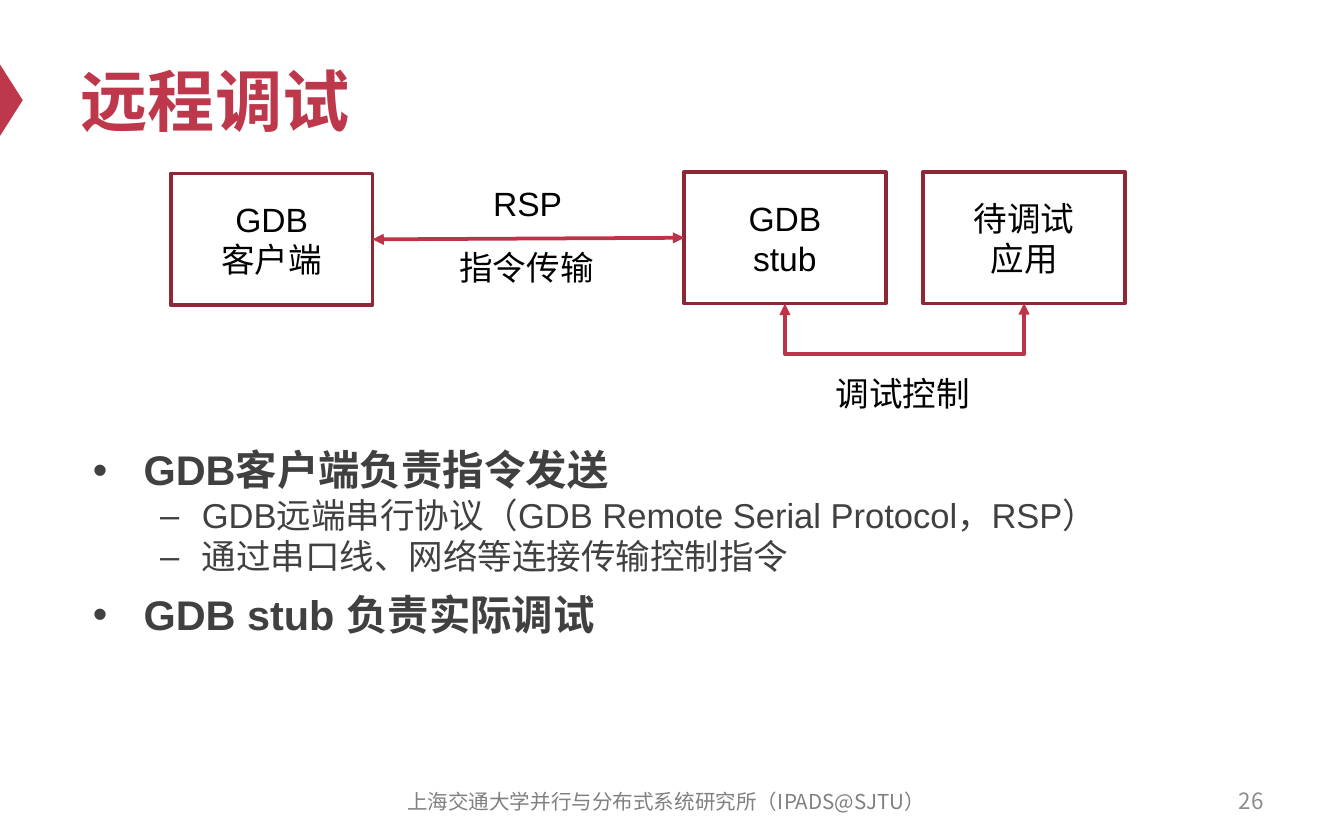
from lxml.etree import SubElement
from pptx import Presentation
from pptx.dml.color import RGBColor
from pptx.enum.shapes import MSO_CONNECTOR as CONN, MSO_SHAPE as SHAPE
from pptx.enum.text import MSO_ANCHOR as ANCHOR, MSO_AUTO_SIZE as AUTO, PP_ALIGN as ALIGN
from pptx.oxml.ns import qn
from pptx.util import Cm, Pt

RED, LINE_RED, DARK_RED = "BE384B", "BD3347", "8D2937"
BLACK, GREY = "000000", "404040"
CJK = "Noto Sans CJK SC"

TITLE = "远程调试"
BULLETS = [
    (0, "GDB客户端负责指令发送"),
    (1, "GDB远端串行协议（GDB Remote Serial Protocol，RSP）"),
    (1, "通过串口线、网络等连接传输控制指令"),
    (0, "GDB stub 负责实际调试"),
]
# level: size, bold, space before, bullet, left margin (cm), hanging (cm)
LEVELS = [(22.2, True, 9.2, "•", 0.96, 0.96), (18.5, False, 2.1, "–", 2.06, 0.79)]

BOX_W, BOX_H = 3.81, 2.49
BOXES = [  # left, top, lines
    (3.23, 3.28, ["GDB", "客户端"]),
    (12.93, 3.25, ["GDB", "stub"]),
    (17.45, 3.25, ["待调试", "应用"]),
]
LABELS = [  # left, top, width, text
    (9.07, 3.33, 1.83, "RSP"),
    (8.43, 4.55, 3.07, "指令传输"),
    (15.54, 6.93, 3.07, "调试控制"),
]
FOOTERS = [  # left, top, width, text, size, colour, alignment
    (18.21, 14.71, 5.92, "26", 12, "8C8C8C", ALIGN.RIGHT),
    (7.09, 14.73, 11, "上海交通大学并行与分布式系统研究所（IPADS@SJTU）", 11, "808080", ALIGN.CENTER),
]


def rgb(value):
    return RGBColor.from_string(value)


def place(shape, *box):
    shape.left, shape.top, shape.width, shape.height = map(Cm, box)


def add_run(p, text, size, color, font="Arial", bold=False):
    r = p.add_run()
    r.text = text
    r.font.size, r.font.bold, r.font.name = Pt(size), bold, font
    r.font.color.rgb = rgb(color)
    SubElement(r.font._element, qn("a:ea"), typeface=CJK)


def add_label(s, box, text, size, color, font="Arial", align=ALIGN.LEFT, wrap=False):
    tf = s.shapes.add_textbox(*map(Cm, box)).text_frame
    tf.word_wrap = wrap
    tf.vertical_anchor = ANCHOR.MIDDLE if wrap else ANCHOR.TOP
    tf.paragraphs[0].alignment = align
    add_run(tf.paragraphs[0], text, size, color, font)


def add_box(s, left, top, lines):
    sp = s.shapes.add_shape(SHAPE.RECTANGLE, Cm(left), Cm(top), Cm(BOX_W), Cm(BOX_H))
    sp.shadow.inherit = False
    sp.fill.background()
    sp.line.color.rgb, sp.line.width = rgb(DARK_RED), Pt(2)
    tf = sp.text_frame
    tf.vertical_anchor = ANCHOR.MIDDLE
    for i, line in enumerate(lines):
        p = tf.add_paragraph() if i else tf.paragraphs[0]
        p.alignment = ALIGN.CENTER
        add_run(p, line, 18, BLACK)
    return sp


def add_link(s, kind, start, start_site, end, end_site):
    """Join two boxes with a double-headed arrow."""
    c = s.shapes.add_connector(kind, 0, 0, 0, 0)
    c.begin_connect(start, start_site)
    c.end_connect(end, end_site)
    c.line.color.rgb, c.line.width = rgb(LINE_RED), Pt(2)
    ln = c.line._get_or_add_ln()
    for tag in ("a:headEnd", "a:tailEnd"):
        SubElement(ln, qn(tag), type="triangle")
    SubElement(c._element.spPr, qn("a:effectLst"))
    return c


def bend_below(c, left, right, y, drop):
    """Turn an elbow connector into a U that hangs below y."""
    thin, span = 0.01, right - left
    place(c, (left + right - thin) / 2, y - span / 2, thin, span)
    xfrm = c._element.spPr.find(qn("a:xfrm"))
    for name, value in (("rot", "5400000"), ("flipH", "1"), ("flipV", "1")):
        xfrm.set(name, value)
    geom = c._element.spPr.find(qn("a:prstGeom"))
    av = geom.find(qn("a:avLst"))
    if av is None:
        av = SubElement(geom, qn("a:avLst"))
    SubElement(av, qn("a:gd"), name="adj1", fmla=f"val {round(-drop / thin * 100000)}")


def fill_title(sp):
    place(sp, 1.27, 0.64, 22.86, 2.49)
    tf = sp.text_frame
    tf.auto_size, tf.vertical_anchor = AUTO.NONE, ANCHOR.MIDDLE
    tf.paragraphs[0].alignment = ALIGN.LEFT
    add_run(tf.paragraphs[0], TITLE, 36, RED, bold=True)


def fill_body(sp):
    place(sp, 1.5, 8.38, 22.86, 4.65)
    tf = sp.text_frame
    tf.auto_size = AUTO.NONE
    for i, (level, text) in enumerate(BULLETS):
        size, bold, before, bullet, margin, hanging = LEVELS[level]
        p = tf.add_paragraph() if i else tf.paragraphs[0]
        p.level, p.line_spacing = level, 0.9
        p.space_before = Pt(before if i else 0)
        pPr = p._p.get_or_add_pPr()
        pPr.set("marL", str(Cm(margin)))
        pPr.set("indent", str(-Cm(hanging)))
        SubElement(pPr, qn("a:buFont"), typeface="Arial")
        SubElement(pPr, qn("a:buChar"), char=bullet)
        add_run(p, text, size, GREY, bold=bold)


def main():
    prs = Presentation()
    prs.slide_width, prs.slide_height = Cm(25.4), Cm(15.88)
    s = prs.slides.add_slide(prs.slide_layouts[1])

    marker = s.shapes.add_shape(SHAPE.ISOSCELES_TRIANGLE, Cm(-0.46), Cm(1.68), Cm(1.35), Cm(0.43))
    marker.rotation = 90
    marker.shadow.inherit = False
    marker.fill.solid()
    marker.fill.fore_color.rgb = rgb(RED)
    marker.line.fill.background()

    fill_title(s.shapes.title)
    fill_body(s.placeholders[1])

    client, stub, app = [add_box(s, *box) for box in BOXES]
    add_link(s, CONN.STRAIGHT, client, 3, stub, 1)
    control = add_link(s, CONN.ELBOW, stub, 2, app, 2)
    stub_x, app_x = [left + BOX_W / 2 for left, _, _ in BOXES[1:]]
    bend_below(control, stub_x, app_x, BOXES[1][1] + BOX_H, 0.95)

    for left, top, width, text in LABELS:
        add_label(s, (left, top, width, 1.02), text, 18, BLACK)
    for left, top, width, text, size, color, align in FOOTERS:
        add_label(s, (left, top, width, 0.84), text, size, color, CJK, align, wrap=True)

    prs.save("out.pptx")


if __name__ == "__main__":
    main()
